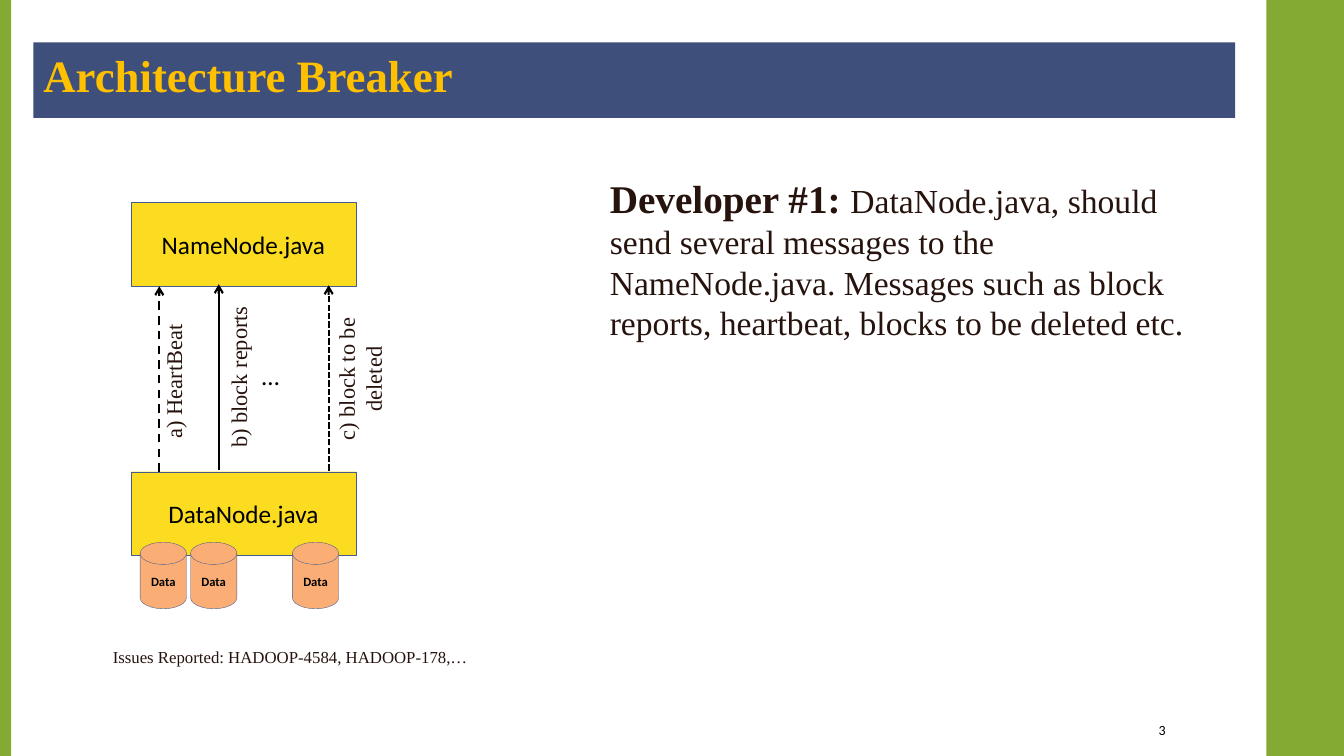
import pptx
import pptx.util
import pptx.dml.color
import pptx.enum.dml
import pptx.enum.shapes
import pptx.enum.text
import pptx.oxml
import pptx.oxml.ns

Inches = pptx.util.Inches
Pt = pptx.util.Pt
Shape = pptx.enum.shapes.MSO_SHAPE
Dash = pptx.enum.dml.MSO_LINE
Align = pptx.enum.text.PP_ALIGN
Anchor = pptx.enum.text.MSO_ANCHOR

COLORS = {
    "green": "84AA33", "navy": "3F4F7C", "gold": "FFC000", "yellow": "FBDC21",
    "peach": "FAAE76", "edge": "475A8D", "brown": "27130D", "black": "000000",
}
SERIF = "Times New Roman"
SANS = "Calibri"


def color(name):
    return pptx.dml.color.RGBColor.from_string(COLORS[name])


class Deck:
    """Holds the style and the current slide."""

    def __init__(self, wide, high):
        self.show = pptx.Presentation()
        self.show.slide_width = Inches(wide)
        self.show.slide_height = Inches(high)
        self.slide = self.show.slides.add_slide(self.show.slide_layouts[5])
        self.items = self.slide.shapes

    def text(self, shape, runs, font, ink, align=Align.LEFT, anchor=Anchor.TOP, wrap=True):
        """Fill a shape with runs of (words, size, bold)."""
        frame = shape.text_frame
        frame.auto_size = pptx.enum.text.MSO_AUTO_SIZE.NONE
        frame.word_wrap = wrap
        frame.vertical_anchor = anchor
        para = frame.paragraphs[0]
        para.alignment = align
        para.space_before = Pt(0)
        for words, size, bold in runs:
            run = para.add_run()
            run.text = words
            run.font.name = font
            run.font.size = Pt(size)
            run.font.bold = bold
            run.font.color.rgb = color(ink)

    def title(self, words, left, top, width, height):
        head = self.items.title
        head.left, head.top = Inches(left), Inches(top)
        head.width, head.height = Inches(width), Inches(height)
        head.fill.solid()
        head.fill.fore_color.rgb = color("navy")
        self.text(head, [(words, 32, True)], SERIF, "gold")

    def block(self, kind, left, top, width, height, fill, edge=None):
        shape = self.items.add_shape(
            kind, Inches(left), Inches(top), Inches(width), Inches(height))
        shape.shadow.inherit = False
        shape.fill.solid()
        shape.fill.fore_color.rgb = color(fill)
        if edge:
            shape.line.color.rgb = color(edge)
            shape.line.width = Pt(0.25)
        else:
            shape.line.fill.background()
        return shape

    def node(self, words, left, top, width, height):
        box = self.block(Shape.RECTANGLE, left, top, width, height, "yellow", "edge")
        self.text(box, [(words, 18, False)], SANS, "black", Align.CENTER, Anchor.MIDDLE)

    def disk(self, words, left, top, width, height):
        can = self.block(Shape.FLOWCHART_MAGNETIC_DISK, left, top, width, height,
                         "peach", "edge")
        can.text_frame.margin_left = can.text_frame.margin_right = 0
        self.text(can, [(words, 9, True)], SANS, "black", Align.CENTER, Anchor.MIDDLE)

    def label(self, runs, left, top, width, height, font=SERIF, ink="brown", turn=0, **style):
        box = self.items.add_textbox(
            Inches(left), Inches(top), Inches(width), Inches(height))
        box.rotation = turn
        self.text(box, runs, font, ink, **style)

    def arrow(self, x, start, end, dash):
        link = self.items.add_connector(
            pptx.enum.shapes.MSO_CONNECTOR.STRAIGHT,
            Inches(x), Inches(start), Inches(x), Inches(end))
        link.line.color.rgb = color("black")
        link.line.width = Pt(1.5)
        link.line.dash_style = dash
        # Arrowhead at the end, and no shadow
        space = pptx.oxml.ns.nsdecls("a")
        props = link.element.spPr
        props.find(pptx.oxml.ns.qn("a:ln")).append(
            pptx.oxml.parse_xml(f'<a:tailEnd {space} type="arrow"/>'))
        props.append(pptx.oxml.parse_xml(f"<a:effectLst {space}/>"))


def main():
    deck = Deck(13.33, 7.5)

    # Side bars and title
    for left, width in ((12.56, 0.77), (0, 0.11)):
        deck.block(Shape.RECTANGLE, left, 0, width, 7.5, "green")
    deck.title("Architecture Breaker", 0.33, 0.42, 11.92, 0.75)

    # Nodes
    for name, top in (("NameNode.java", 2.01), ("DataNode.java", 4.68)):
        deck.node(name, 1.3, top, 2.23, 0.83)

    # Messages: arrow, then the label that reads upwards beside it
    flows = (
        ("a) HeartBeat", 1.58, 4.68, Dash.DASH, (1.05, 3.59, 1.34, 0.37), False),
        ("b) block reports", 2.17, 4.66, Dash.SOLID, (1.55, 3.54, 1.63, 0.37), False),
        ("c) block to be deleted", 3.26, 4.67, Dash.SQUARE_DOT, (2.75, 3.44, 1.64, 0.64), True),
    )
    for words, x, start, dash, place, wrap in flows:
        deck.arrow(x, start, start - 1.84, dash)
        deck.label([(words, 16, False)], *place, turn=270, wrap=wrap,
                   align=Align.CENTER if wrap else Align.LEFT)
    deck.label([("…", 18, False)], 2.5, 3.53, 0.38, 0.4, SANS, "black", wrap=False)

    # Data disks
    for left in (1.39, 1.89, 2.9):
        deck.disk("Data", left, 5.38, 0.46, 0.66)

    # Explanation, issues and page number
    deck.label([
        ("Developer #1: ", 28, True),
        ("DataNode.java, should send several messages to the NameNode.java. "
         "Messages such as block reports, heartbeat, blocks to be deleted etc.", 24, False),
    ], 5.95, 1.68, 5.97, 1.78)
    deck.label([("Issues Reported: HADOOP-4584, HADOOP-178,…", 12, False)],
               1.02, 6.37, 3.75, 0.3, wrap=False)
    deck.label([("3", 10, False)], 10.58, 7.08, 1.08, 0.33, SANS, "black",
               align=Align.RIGHT, anchor=Anchor.MIDDLE)

    deck.show.save("out.pptx")


if __name__ == "__main__":
    main()
